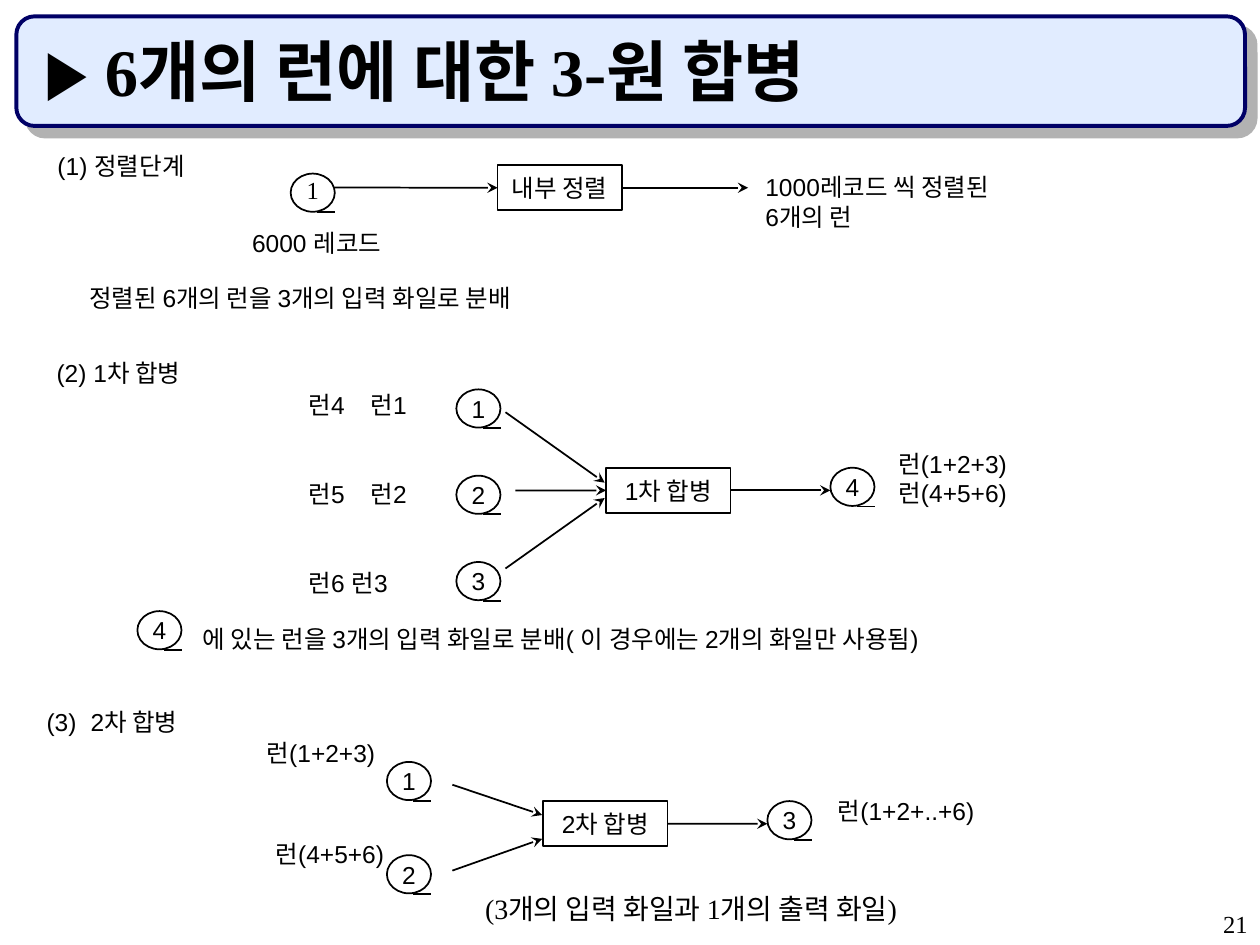
from dataclasses import dataclass

from lxml.etree import SubElement
from pptx import Presentation
from pptx.dml.color import RGBColor
from pptx.enum.shapes import MSO_CONNECTOR, MSO_SHAPE
from pptx.enum.text import MSO_ANCHOR, PP_ALIGN
from pptx.oxml.ns import qn
from pptx.util import Cm, Pt


@dataclass(frozen=True)
class Theme:
    ink: RGBColor = RGBColor(0, 0, 0)
    band: RGBColor = RGBColor(0xE1, 0xEC, 0xFF)
    band_edge: RGBColor = RGBColor(0, 0, 0x66)
    shade: str = "B2B2B2"
    sans: str = "Arial"
    serif: str = "Times New Roman"
    title: int = 38
    caption: int = 16
    body: int = 14
    thin: float = 1
    thick: float = 2.25


@dataclass(frozen=True)
class Box:
    """A region in centimetres."""
    left: float
    top: float
    width: float
    height: float

    def inner(self, x, y, width, height):
        return Box(self.left + x, self.top + y, width, height)

    def point(self, x, y):
        return self.left + x, self.top + y

    def lengths(self):
        return [Cm(v) for v in (self.left, self.top, self.width, self.height)]


THEME = Theme()
LEFT, CENTER, RIGHT = PP_ALIGN.LEFT, PP_ALIGN.CENTER, PP_ALIGN.RIGHT
LINE = 0.84
LEFT_SIDE, RIGHT_SIDE = 1, 3
FILE_W, FILE_H = 0.89, 0.77
PROCESS_W, PROCESS_H = 2.51, 0.91


def write(shape, text, *, size=THEME.body, font=THEME.sans, bold=False, align=LEFT,
          anchor=MSO_ANCHOR.TOP, spacing=None, tab=None, wrap=False):
    frame = shape.text_frame
    frame.word_wrap = wrap
    frame.vertical_anchor = anchor
    for i, line_text in enumerate(text.split("\n")):
        para = frame.add_paragraph() if i else frame.paragraphs[0]
        para.alignment = align
        if spacing:
            para.line_spacing = spacing
        if tab:
            stops = SubElement(para._p.get_or_add_pPr(), qn("a:tabLst"))
            SubElement(stops, qn("a:tab"), pos=str(Cm(tab)), algn="l")
        span = para.add_run()
        span.text = line_text
        span.font.size = Pt(size)
        span.font.name = font
        span.font.bold = bold
        span.font.color.rgb = THEME.ink


def label(page, box, text, **style):
    write(page.shapes.add_textbox(*box.lengths()), text, **style)


def outlined(page, kind, box, text, **style):
    shape = page.shapes.add_shape(kind, *box.lengths())
    shape.shadow.inherit = False
    shape.fill.background()
    shape.line.color.rgb = THEME.ink
    shape.line.width = Pt(THEME.thin)
    write(shape, text, align=CENTER, anchor=MSO_ANCHOR.MIDDLE, **style)
    return shape


def line(page, start, end, *, source=None, target=None, arrow=True):
    """Draw a line, joined to the right of source and the left of target if given."""
    link = page.shapes.add_connector(
        MSO_CONNECTOR.STRAIGHT, *(Cm(v) for v in (*start, *end)))
    link.line.color.rgb = THEME.ink
    link.line.width = Pt(THEME.thin)
    if arrow:
        SubElement(link.line._get_or_add_ln(), qn("a:tailEnd"), type="stealth")
    SubElement(link._element.spPr, qn("a:effectLst"))
    if source is not None:
        link.begin_connect(source, RIGHT_SIDE)
    if target is not None:
        link.end_connect(target, LEFT_SIDE)


def tape(page, box, x, y, number, **style):
    """A numbered file: a circle with a short line under its right half."""
    reel = box.inner(x, y, FILE_W, FILE_H)
    outlined(page, MSO_SHAPE.OVAL, reel, number, **style)
    line(page, reel.point(0.53, 0.78), reel.point(FILE_W, 0.78), arrow=False)


def process(page, box, x, y, text, reach):
    """A step with its outgoing arrow, which ends at x = reach."""
    step = outlined(page, MSO_SHAPE.RECTANGLE, box.inner(x, y, PROCESS_W, PROCESS_H), text)
    middle = y + PROCESS_H / 2
    line(page, box.point(x + PROCESS_W, middle), box.point(reach, middle), source=step)
    return step


def header(page, box):
    band = page.shapes.add_shape(MSO_SHAPE.ROUNDED_RECTANGLE, *box.lengths())
    band.fill.solid()
    band.fill.fore_color.rgb = THEME.band
    band.line.color.rgb = THEME.band_edge
    band.line.width = Pt(THEME.thick)
    effects = SubElement(band._element.spPr, qn("a:effectLst"))
    shadow = SubElement(effects, qn("a:outerShdw"), dist=str(Pt(8.5)),
                        dir="2700000", algn="ctr", rotWithShape="0")
    SubElement(shadow, qn("a:srgbClr"), val=THEME.shade)
    label(page, box.inner(0.31, 0.31, 23.93, 1.7), "▶ 6개의 런에 대한 3-원 합병",
          size=THEME.title, font=THEME.serif, bold=True, anchor=MSO_ANCHOR.BOTTOM, wrap=True)


def sort_stage(page, box):
    label(page, box.inner(0, 0, 3.2, LINE), "(1) 정렬단계")
    tape(page, box, 4.95, 0.58, "1", font=THEME.serif, spacing=0.8)
    step = process(page, box, 9.12, 0.41, "내부 정렬", 14.17)
    line(page, box.point(5.84, 0.86), box.point(9.12, 0.86), target=step)
    label(page, box.inner(14.27, 0.43, 5.33, 1.45), "1000레코드 씩 정렬된\n6개의 런")
    label(page, box.inner(3.86, 1.55, 3.23, LINE), "6000 레코드", align=CENTER)
    label(page, box.inner(0.64, 2.67, 9.65, LINE), "정렬된 6개의 런을 3개의 입력 화일로 분배")


def first_merge(page, box):
    label(page, box.inner(0, 0, 3.15, LINE), "(2) 1차 합병")
    for i, runs in enumerate(("런4\t런1", "런5\t런2", "런6 런3")):
        label(page, box.inner(5.08, 0.64 + 1.8 * i, 2.62, LINE), runs, tab=1.25)
        tape(page, box, 8.31, 0.76 + 1.74 * i, str(i + 1))
    step = process(page, box, 11.33, 2.34, "1차 합병", 15.85)
    line(page, box.point(9.3, 1.22), box.point(11.3, 2.64))
    line(page, box.point(9.5, 2.8), box.point(11.33, 2.8), target=step)
    line(page, box.point(9.3, 4.37), box.point(11.3, 2.95))
    tape(page, box, 15.85, 2.34, "4")
    label(page, box.inner(16.97, 1.83, 2.82, 1.45), "런(1+2+3)\n런(4+5+6)")
    tape(page, box, 1.88, 5.23, "4")
    label(page, box.inner(2.95, 5.36, 16.03, LINE),
          "에 있는 런을 3개의 입력 화일로 분배( 이 경우에는 2개의 화일만 사용됨)")


def second_merge(page, box):
    label(page, box.inner(0, 0, 3.3, LINE), "(3)\t2차 합병", tab=0.89)
    label(page, box.inner(4.37, 0.64, 2.82, LINE), "런(1+2+3)", align=CENTER)
    label(page, box.inner(4.55, 2.67, 2.82, LINE), "런(4+5+6)", align=CENTER)
    for i in range(2):
        tape(page, box, 7.11, 1.24 + 1.88 * i, str(i + 1))
    process(page, box, 10.26, 2.03, "2차 합병", 14.78)
    line(page, box.point(8.43, 1.7), box.point(10.24, 2.31))
    line(page, box.point(8.43, 3.43), box.point(10.24, 2.79))
    tape(page, box, 14.78, 2.03, "3")
    label(page, box.inner(15.95, 1.8, 3.38, LINE), "런(1+2+..+6)")
    label(page, box.inner(8.84, 3.86, 13.97, 0.81), "(3개의 입력 화일과 1개의 출력 화일)",
          size=THEME.caption, font=THEME.serif, spacing=0.8, wrap=True)


def main():
    deck = Presentation()
    deck.slide_width, deck.slide_height = Cm(25.4), Cm(19.05)
    page = deck.slides.add_slide(deck.slide_layouts[6])
    header(page, Box(0.33, 0.33, 24.77, 2.21))
    sort_stage(page, Box(0.91, 2.92, 19.6, 3.5))
    first_merge(page, Box(0.89, 7.09, 19.8, 6.2))
    second_merge(page, Box(0.69, 14.12, 22.8, 4.7))
    label(page, Box(20.12, 18.21, 5.28, LINE), "21",
          font=THEME.serif, align=RIGHT, wrap=True)
    deck.save("out.pptx")


if __name__ == "__main__":
    main()
